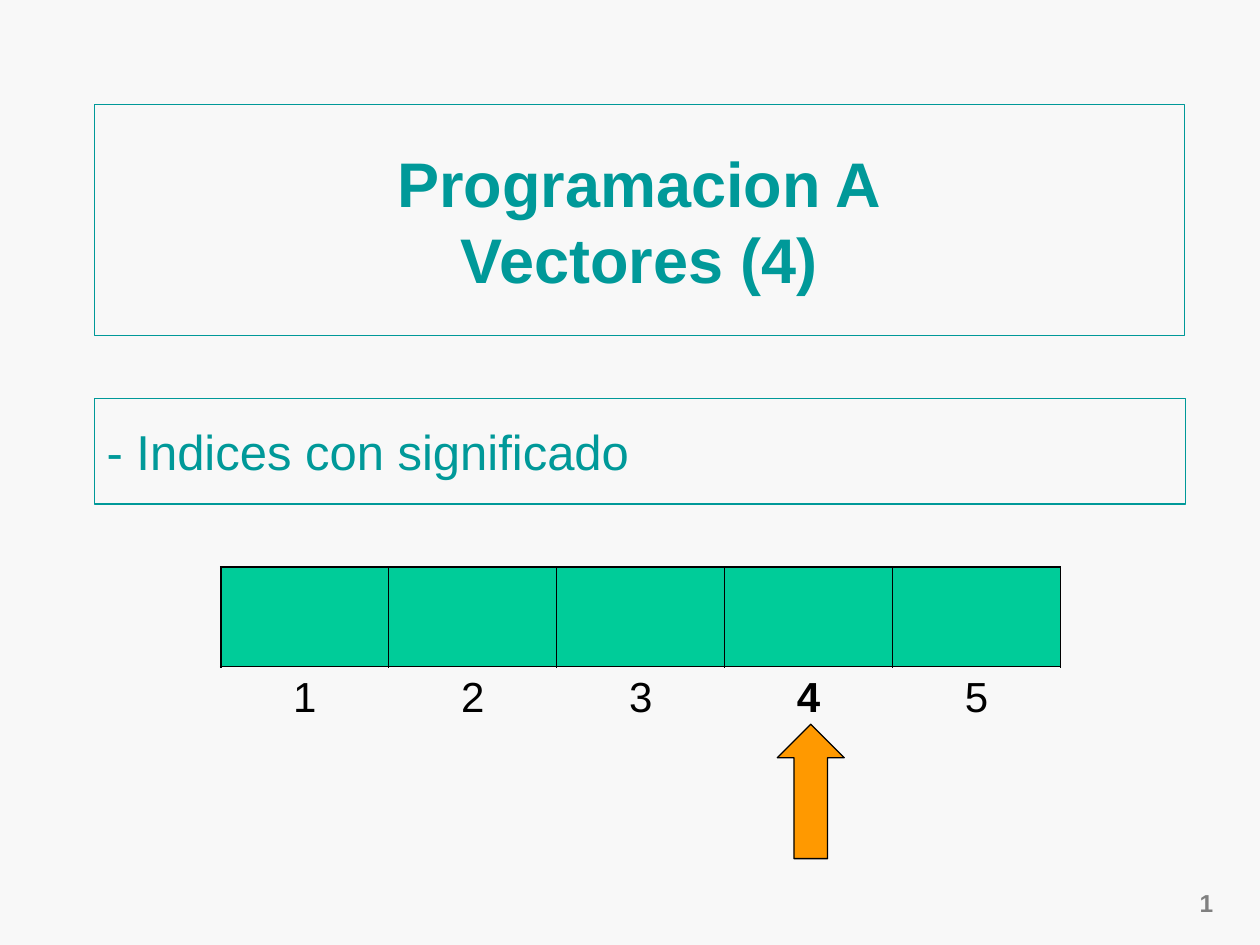
"""Build the opening slide of a lesson on vectors with meaningful indices."""
from dataclasses import dataclass

from lxml import etree
from pptx import Presentation
from pptx.dml.color import RGBColor
from pptx.enum.shapes import MSO_SHAPE
from pptx.enum.text import MSO_ANCHOR, MSO_AUTO_SIZE, PP_ALIGN
from pptx.oxml.ns import qn
from pptx.util import Cm, Pt

RECTANGLE, UP_ARROW = MSO_SHAPE.RECTANGLE, MSO_SHAPE.UP_ARROW
LEFT, CENTER, RIGHT = PP_ALIGN.LEFT, PP_ALIGN.CENTER, PP_ALIGN.RIGHT
TOP, MIDDLE = MSO_ANCHOR.TOP, MSO_ANCHOR.MIDDLE
NO_AUTOFIT = MSO_AUTO_SIZE.NONE


@dataclass(frozen=True)
class Theme:
    font: str = "Arial"
    page: str = "F8F8F8"
    teal: str = "009999"
    cell: str = "00CC99"
    arrow: str = "FF9900"
    ink: str = "000000"
    muted: str = "808080"
    title_size: int = 36
    body_size: int = 28
    index_size: int = 24
    number_size: int = 14
    outline: float = 0.75
    outer_border: float = 1.08
    inner_border: float = 0.45


@dataclass(frozen=True)
class Area:
    left: float
    top: float
    width: float
    height: float

    def lengths(self) -> tuple:
        return tuple(Cm(value) for value in (self.left, self.top, self.width, self.height))


@dataclass(frozen=True)
class TextStyle:
    size: int
    color: str
    bold: bool = False
    align: PP_ALIGN = LEFT
    anchor: MSO_ANCHOR = MIDDLE


THEME = Theme()
TITLE_AREA = Area(1.9, 2.11, 21.98, 4.66)
TOPIC_AREA = Area(1.9, 8.04, 22, 2.12)
VECTOR_AREA = Area(4.45, 11.43, 16.93, 3.28)
ARROW_AREA = Area(15.67, 14.6, 1.35, 2.71)
NUMBER_AREA = Area(23.06, 17.78, 1.65, 0.86)
CELL_HEIGHT = 2.01
INDICES = range(1, 6)
CHOSEN_INDEX = 4


def set_text(frame, text: str, style: TextStyle, **spacing) -> None:
    """Write one paragraph and format its spans."""
    para = frame.paragraphs[0]
    para.text = text
    for name, value in {"alignment": style.align, **spacing}.items():
        setattr(para, name, value)
    formats = {"name": THEME.font, "size": Pt(style.size), "bold": style.bold}
    for span in para.runs:
        for name, value in formats.items():
            setattr(span.font, name, value)
        span.font.color.rgb = RGBColor.from_string(style.color)


def set_frame_text(box, text: str, style: TextStyle) -> None:
    """Write wrapped text into a box of fixed size."""
    frame = box.text_frame
    formats = {"word_wrap": True, "auto_size": NO_AUTOFIT, "vertical_anchor": style.anchor}
    for name, value in formats.items():
        setattr(frame, name, value)
    set_text(frame, text, style)


def set_outline(box, color: str) -> None:
    """Give a box a thin outline."""
    box.line.color.rgb = RGBColor.from_string(color)
    box.line.width = Pt(THEME.outline)


def add_title(page, text: str) -> None:
    """Place and format the title placeholder."""
    title = page.shapes.title
    for name, value in zip(("left", "top", "width", "height"), TITLE_AREA.lengths()):
        setattr(title, name, value)
    set_outline(title, THEME.teal)
    set_frame_text(title, text, TextStyle(THEME.title_size, THEME.teal, True, CENTER))


def add_box(page, preset: MSO_SHAPE, area: Area, line: str, fill: str = ""):
    """Add an outlined preset shape, filled when a colour is given."""
    box = page.shapes.add_shape(preset, *area.lengths())
    box.shadow.inherit = False
    set_outline(box, line)
    if fill:
        box.fill.solid()
        box.fill.fore_color.rgb = RGBColor.from_string(fill)
    else:
        box.fill.background()
    return box


def set_borders(cell, widths: dict[str, float]) -> None:
    """Draw the cell sides, hiding those without a width."""
    properties = cell._tc.get_or_add_tcPr()
    for side in "LRTB":
        width = widths.get(side, 0)
        line = etree.SubElement(properties, qn(f"a:ln{side}"), w=str(int(Pt(width))))
        if width:
            fill = etree.SubElement(line, qn("a:solidFill"))
            etree.SubElement(fill, qn("a:srgbClr"), val=THEME.ink)
        else:
            etree.SubElement(line, qn("a:noFill"))


def add_vector(page) -> None:
    """Draw the vector cells with their indices below."""
    count = len(INDICES)
    table = page.shapes.add_table(2, count, *VECTOR_AREA.lengths()).table
    table.first_row = table.horz_banding = False
    table.rows[0].height = Cm(CELL_HEIGHT)
    table.rows[1].height = Cm(VECTOR_AREA.height - CELL_HEIGHT)
    outer, inner = THEME.outer_border, THEME.inner_border
    for column, index in enumerate(INDICES):
        table.columns[column].width = Cm(VECTOR_AREA.width / count)
        value, label = table.cell(0, column), table.cell(1, column)
        set_borders(value, {
            "L": outer if column == 0 else inner,
            "R": outer if column == count - 1 else inner,
            "T": outer,
            "B": outer,
        })
        value.fill.solid()
        value.fill.fore_color.rgb = RGBColor.from_string(THEME.cell)
        set_borders(label, {"T": outer})
        label.fill.background()
        label.vertical_anchor = MIDDLE
        style = TextStyle(THEME.index_size, THEME.ink, index == CHOSEN_INDEX, CENTER)
        set_text(label.text_frame, str(index), style, space_before=Pt(6))


def add_page_number(page, number: int) -> None:
    """Put the page number in the lower right corner."""
    box = page.shapes.add_textbox(*NUMBER_AREA.lengths())
    set_frame_text(box, str(number), TextStyle(THEME.number_size, THEME.muted, True, RIGHT, TOP))


def main() -> None:
    """Build and save the deck."""
    deck = Presentation()
    deck.slide_width, deck.slide_height = Cm(25.4), Cm(19.05)
    page = deck.slides.add_slide(deck.slide_layouts[5])
    page.background.fill.solid()
    page.background.fill.fore_color.rgb = RGBColor.from_string(THEME.page)
    add_page_number(page, 1)
    add_title(page, "Programacion A\vVectores (4)")
    topic = add_box(page, RECTANGLE, TOPIC_AREA, THEME.teal)
    set_frame_text(topic, "- Indices con significado", TextStyle(THEME.body_size, THEME.teal))
    add_vector(page)
    add_box(page, UP_ARROW, ARROW_AREA, THEME.ink, THEME.arrow)
    deck.save("out.pptx")


if __name__ == "__main__":
    main()
